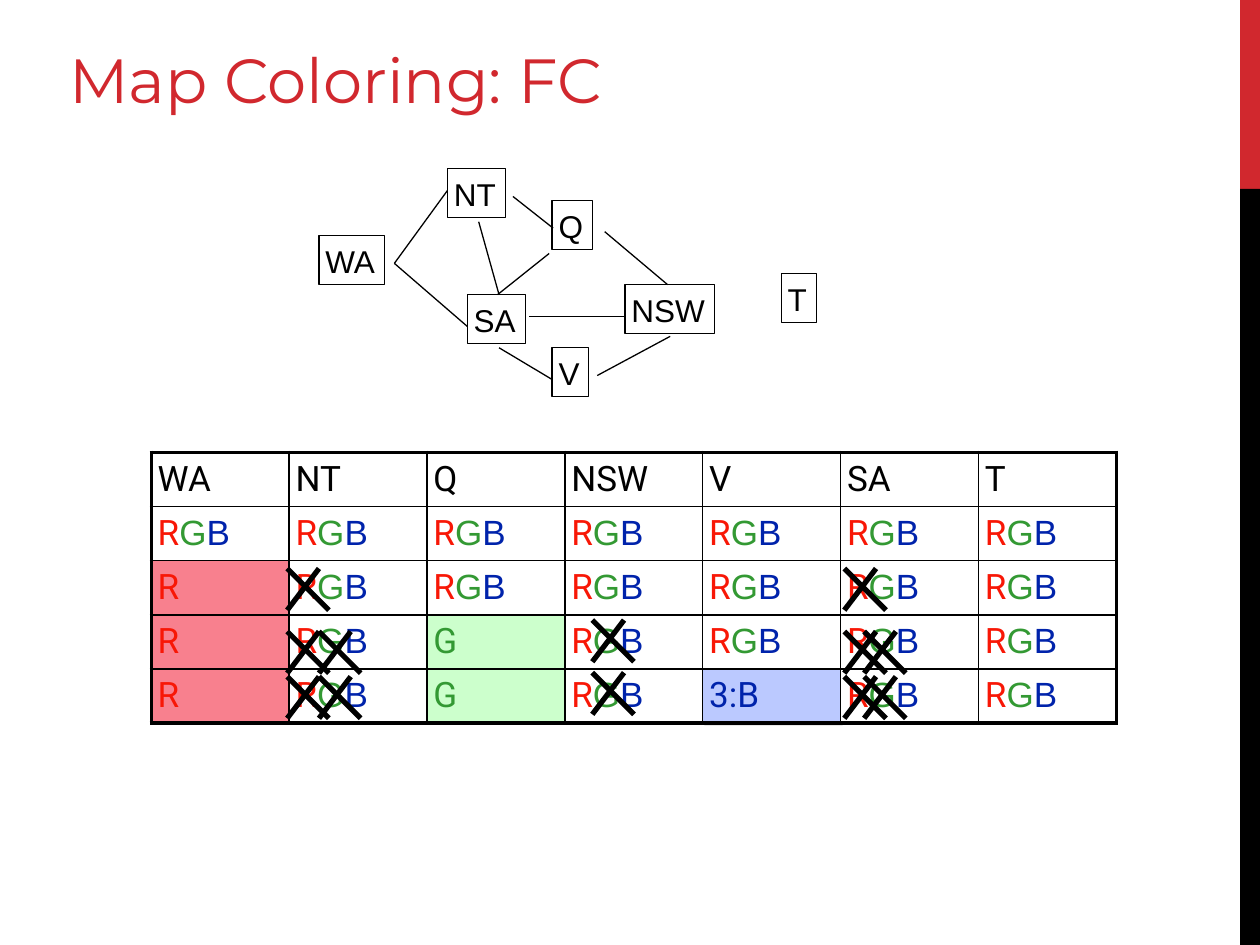
from lxml import etree
from pptx import Presentation
from pptx.dml.color import RGBColor
from pptx.enum.shapes import MSO_CONNECTOR, MSO_SHAPE
from pptx.enum.text import MSO_ANCHOR, PP_ALIGN
from pptx.oxml.ns import qn
from pptx.util import Cm, Pt

RECTANGLE = MSO_SHAPE.RECTANGLE
STRAIGHT = MSO_CONNECTOR.STRAIGHT
COLORS = {name: RGBColor.from_string(value) for name, value in {
    "accent": "D1282E", "black": "000000", "white": "FFFFFF", "shade": "DDDDDD",
    "R": "F81706", "G": "339933", "B": "0023AB",
    "R fill": "F8808E", "G fill": "CCFFCC", "3:B fill": "BBC9FF",
}.items()}
INSET = Cm(0.13)


def add_rectangle(shapes, left, top, width, height, fill=None):
    box = shapes.add_shape(RECTANGLE, Cm(left), Cm(top), Cm(width), Cm(height))
    box.shadow.inherit = False
    if fill:
        box.fill.solid()
        box.fill.fore_color.rgb = COLORS[fill]
        box.line.fill.background()
    else:
        box.fill.background()
        box.line.color.rgb = COLORS["black"]
        box.line.width = Pt(0.75)
    return box


def add_line(shapes, start_x, start_y, end_x, end_y, width):
    line = shapes.add_connector(STRAIGHT, Cm(start_x), Cm(start_y), Cm(end_x), Cm(end_y))
    line.line.color.rgb = COLORS["black"]
    line.line.width = Pt(width)
    etree.SubElement(line._element.spPr, qn("a:effectLst"))


deck = Presentation()
deck.slide_width, deck.slide_height = Cm(25.4), Cm(19.05)
page = deck.slides.add_slide(deck.slide_layouts[5])

add_rectangle(page.shapes, 25, 0, 0.4, 3.81, "accent")
add_rectangle(page.shapes, 25, 3.81, 0.4, 15.24, "black")
add_rectangle(page.shapes, 14.2, 13.56, 2.79, 1.07, "shade")

title = page.shapes.title
title.left, title.top, title.width, title.height = Cm(1.27), Cm(0.46), Cm(21.54), Cm(2.01)
frame = title.text_frame
frame.text = "Map Coloring: FC"
frame.vertical_anchor = MSO_ANCHOR.BOTTOM
frame.margin_left = frame.margin_right = frame.margin_top = frame.margin_bottom = INSET
para = frame.paragraphs[0]
para.alignment = PP_ALIGN.LEFT
font = para.runs[0].font
font.name, font.size, font.color.rgb = "Montserrat", Pt(35.6), COLORS["accent"]

domains = [
    ["WA", "NT", "Q", "NSW", "V", "SA", "T"],
    ["RGB"] * 7,
    ["R"] + ["RGB"] * 6,
    ["R", "RGB", "G", "RGB", "RGB", "RGB", "RGB"],
    ["R", "RGB", "G", "RGB", "3:B", "RGB", "RGB"],
]
last_row, last_column = len(domains) - 1, len(domains[0]) - 1
table = page.shapes.add_table(
    len(domains), len(domains[0]), Cm(3.05), Cm(9.12), Cm(19.46), Cm(5.45)).table
table.first_row = table.horz_banding = False
for column in table.columns:
    column.width = Cm(2.78)
for row in table.rows:
    row.height = Cm(1.09)

for row_index, row_texts in enumerate(domains):
    for column_index, text in enumerate(row_texts):
        cell = table.cell(row_index, column_index)
        cell.margin_left = cell.margin_right = cell.margin_top = cell.margin_bottom = INSET
        outer_sides = {
            "lnL": column_index == 0, "lnR": column_index == last_column,
            "lnT": row_index == 0, "lnB": row_index == last_row,
        }
        properties = cell._tc.get_or_add_tcPr()
        for side, is_outer in outer_sides.items():
            border = etree.SubElement(
                properties, qn("a:" + side), w=str(Pt(2.25 if is_outer else 1)))
            fill = etree.SubElement(border, qn("a:solidFill"))
            etree.SubElement(fill, qn("a:srgbClr"), val=str(COLORS["black"]))
        cell.fill.solid()
        cell.fill.fore_color.rgb = COLORS.get(text + " fill", COLORS["white"])
        para = cell.text_frame.paragraphs[0]
        for position, part in enumerate(text if text == "RGB" else [text]):
            span = para.add_run()
            span.text = part
            span.font.name = "Arial" if position else "Roboto"
            span.font.size = Pt(20)
            span.font.color.rgb = COLORS["black" if row_index == 0 else part[-1]]

graph = page.shapes.add_group_shape()
regions = [
    ("T", 15.75, 5.51, 0.71), ("WA", 6.43, 4.75, 1.32), ("NT", 9.02, 3.4, 1.17),
    ("SA", 9.42, 5.94, 1.17), ("Q", 11.13, 4.04, 0.81), ("NSW", 12.6, 5.74, 1.8),
    ("V", 11.13, 7.01, 0.74),
]
for name, left, top, width in regions:
    box = add_rectangle(graph.shapes, left, top, width, 0.99)
    frame = box.text_frame
    frame.text = name
    frame.word_wrap = False
    frame.vertical_anchor = MSO_ANCHOR.TOP
    frame.margin_left = frame.margin_right = frame.margin_top = frame.margin_bottom = INSET
    para = frame.paragraphs[0]
    para.alignment = PP_ALIGN.LEFT
    font = para.runs[0].font
    font.name, font.size, font.color.rgb = "Arial", Pt(18), COLORS["black"]

borders = [
    (7.95, 5.31, 9.02, 3.84), (7.95, 5.31, 9.42, 6.58), (9.65, 4.47, 10.06, 5.94),
    (10.06, 7.01, 11.13, 7.65), (12.19, 4.67, 13.46, 5.74), (10.34, 3.96, 11.15, 4.6),
    (12.04, 7.57, 13.51, 6.78), (11.07, 5.11, 10.03, 5.94), (10.67, 6.38, 12.57, 6.38),
]
for ends in borders:
    add_line(graph.shapes, *ends, 0.75)

crossed_out = [
    (11.46, [5.79, 17.02]),
    (12.73, [6.43, 17.42, 17.02, 5.79]),
    (12.5, [11.94]),
    (13.64, [6.43, 17.42, 17.02, 5.79]),
    (13.56, [11.94]),
]
for top, lefts in crossed_out:
    for left in lefts:
        cross = page.shapes.add_group_shape()
        add_line(cross.shapes, left + 0.64, top, left, top + 0.84, 3)
        add_line(cross.shapes, left, top, left + 0.84, top + 0.84, 3)

deck.save("out.pptx")
